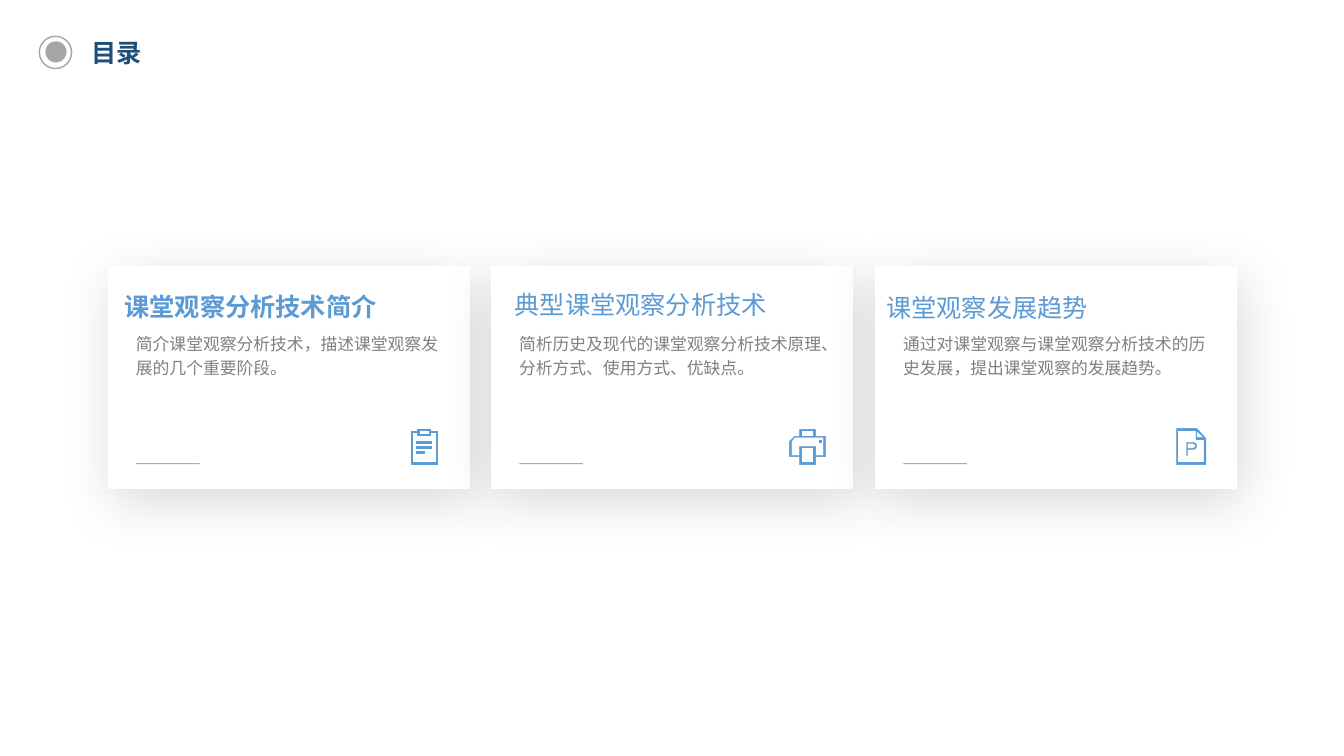
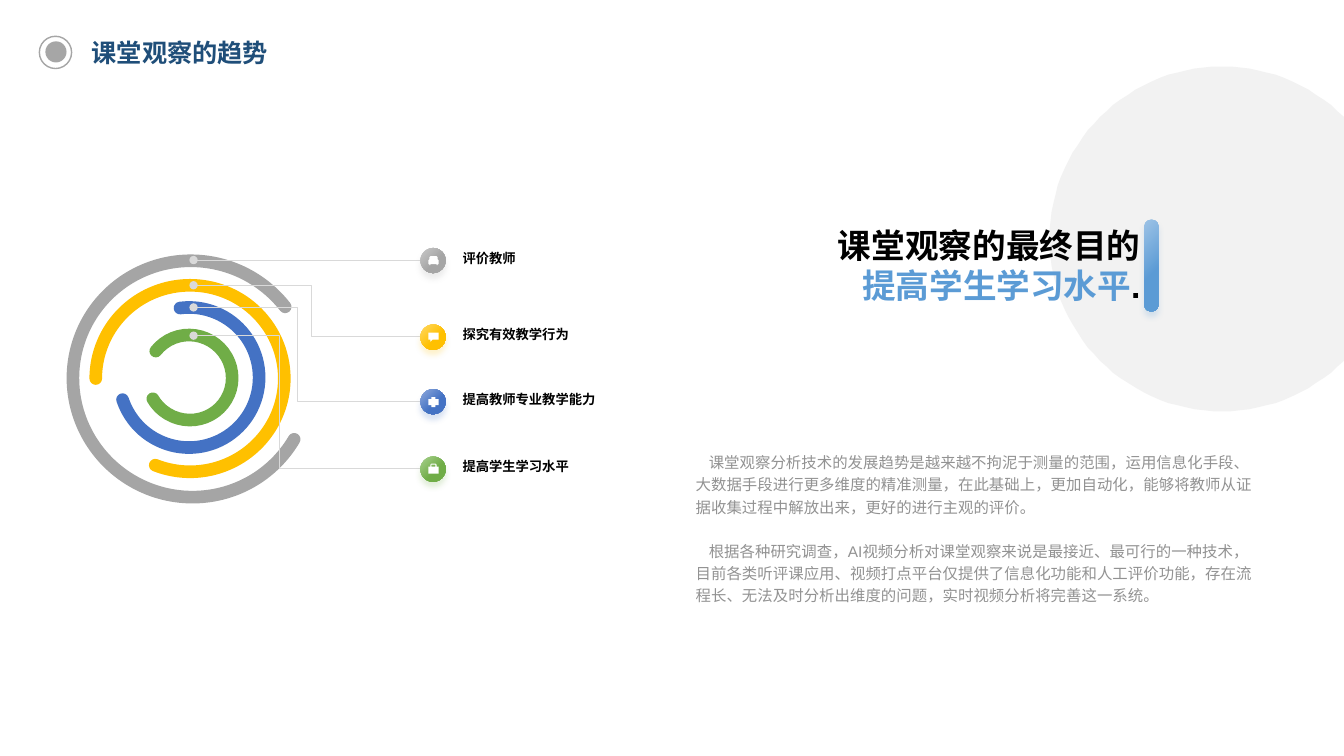
"""Build a contents slide and a trends slide about classroom observation."""
import math
from dataclasses import dataclass
from typing import Optional

from lxml import etree
from pptx import Presentation
from pptx.dml.color import RGBColor
from pptx.enum.lang import MSO_LANGUAGE_ID
from pptx.enum.shapes import MSO_CONNECTOR, MSO_SHAPE
from pptx.enum.text import MSO_ANCHOR, MSO_AUTO_SIZE, PP_ALIGN
from pptx.oxml.ns import qn
from pptx.shapes.autoshape import Shape
from pptx.shapes.connector import Connector
from pptx.slide import Slide
from pptx.util import Emu, Pt

EMU_PER_PX = 9144
FONT = "Arial"
CHINESE = MSO_LANGUAGE_ID.SIMPLIFIED_CHINESE
RECTANGLE, ROUNDED = MSO_SHAPE.RECTANGLE, MSO_SHAPE.ROUNDED_RECTANGLE
OVAL, ARC = MSO_SHAPE.OVAL, MSO_SHAPE.ARC
STRAIGHT, ELBOW = MSO_CONNECTOR.STRAIGHT, MSO_CONNECTOR.ELBOW
LEFT, CENTER, RIGHT = PP_ALIGN.LEFT, PP_ALIGN.CENTER, PP_ALIGN.RIGHT
TOP = MSO_ANCHOR.TOP
NO_FIT = MSO_AUTO_SIZE.NONE

COLORS = {
    "white": "FFFFFF", "black": "000000", "title": "1F4E79", "marker": "A6A6A6",
    "accent": "5B9BD5", "accent_light": "9DC3E6", "card_text": "808080",
    "body": "262626", "backdrop": "F2F2F2", "leader": "D9D9D9",
    "gray": "A5A5A5", "gray_light": "C9C9C9", "gold": "FFC000", "gold_light": "FFD966",
    "blue": "4472C4", "blue_light": "8FAADC", "green": "70AD47", "green_light": "A9D18E",
}

Contour = tuple[tuple[int, int], ...]
Icon = tuple[Contour, ...]
Bounds = tuple[int, int, int, int]


def rect(left: int, top: int, right: int, bottom: int) -> Contour:
    """Return the corners of a rectangle."""
    return (left, top), (right, top), (right, bottom), (left, bottom)


CLIPBOARD: Icon = (
    ((20, 1), (20, 3), (27, 3), (27, 36), (1, 36), (1, 3), (7, 3), (7, 1)),
    ((7, 4), (2, 4), (2, 34), (26, 34), (26, 4), (20, 4), (20, 7), (7, 7)),
    rect(6, 13, 21, 15), rect(6, 18, 21, 20), rect(6, 23, 14, 25), rect(9, 2, 19, 6),
)
PRINTER: Icon = (
    ((26, 1), (26, 8), (36, 8), (36, 28), (26, 28), (26, 36), (10, 36),
     (10, 28), (0, 28), (0, 13), (5, 8), (10, 8), (10, 1)),
    ((34, 9), (5, 9), (2, 13), (2, 27), (10, 27), (10, 18), (26, 18), (26, 27), (34, 27)),
    rect(12, 19, 24, 34), rect(30, 12, 32, 14), rect(12, 2, 24, 8),
)
DOCUMENT: Icon = (
    ((0, 0), (20, 0), (29, 10), (29, 36), (0, 36)),
    ((1, 2), (1, 34), (27, 34), (27, 11), (19, 11), (19, 2)),
    ((20, 3), (20, 9), (27, 9)),
    ((10, 14), (16, 14), (19, 15), (20, 17), (19, 20), (16, 21), (11, 21), (11, 27), (10, 27)),
    ((11, 15), (16, 15), (18, 16), (19, 17), (18, 19), (16, 20), (11, 20)),
)
SOFA: Icon = (
    ((2, 0), (8, 0), (9, 1), (9, 3), (10, 4), (10, 8), (9, 8), (9, 9), (8, 9),
     (8, 8), (2, 8), (2, 9), (1, 9), (1, 8), (0, 8), (0, 4), (1, 3), (1, 1)),
)
CHAT: Icon = (((0, 0), (10, 0), (10, 7), (4, 7), (2, 9), (2, 7), (0, 7)),)
CROSS: Icon = (
    ((3, 0), (7, 0), (7, 2), (10, 2), (10, 8), (7, 8), (7, 10), (3, 10),
     (3, 8), (0, 8), (0, 2), (3, 2)),
)
BRIEFCASE: Icon = (
    ((0, 3), (2, 3), (2, 1), (3, 0), (7, 0), (8, 1), (8, 3), (10, 3), (10, 10), (0, 10)),
    rect(3, 1, 7, 3),
)


@dataclass(frozen=True)
class Card:
    """One contents card; the offsets count from its left edge."""
    heading: str
    summary: str
    heading_offset: int
    heading_top: int
    heading_width: int
    bold: bool
    icon: Icon
    icon_offset: int


@dataclass(frozen=True)
class Topic:
    """One ring with its leader, badge and label."""
    label: str
    color: str
    badge_top: int
    ring: Bounds
    rotation: float
    sweep_end: float
    leader_top: int
    bend: Optional[int]
    icon: Icon
    icon_top: int


@dataclass(frozen=True)
class Shadow:
    """An outer shadow: opacity in percent, lengths in points, direction in degrees."""
    color: str
    opacity: int
    blur: int
    distance: int
    direction: int


CARDS = (
    Card("课堂观察分析技术简介", "简介课堂观察分析技术，描述课堂观察发展的几个重要阶段。",
         5, 278, 273, True, CLIPBOARD, 300),
    Card("典型课堂观察分析技术", "简析历史及现代的课堂观察分析技术原理、分析方式、使用方式、优缺点。",
         9, 276, 279, False, PRINTER, 296),
    Card("课堂观察发展趋势", "通过对课堂观察与课堂观察分析技术的历史发展，提出课堂观察的发展趋势。",
         0, 279, 222, False, DOCUMENT, 299),
)
TOPICS = (
    Topic("评价教师", "gray", 246, (73, 258, 234, 236), 120.5, 121.12, 258, None, SOFA, 254),
    Topic("探究有效教学行为", "gold", 322, (96, 282, 185, 187), 270, 121.12, 283, 309, CHAT, 330),
    Topic("提高教师专业教学能力", "blue", 386, (118, 305, 139, 139), 352.6, 101.4, 305, 295,
          CROSS, 394),
    Topic("提高学生学习水平", "green", 453, (146, 332, 84, 85), 308.1, 121.12, 333, 277,
          BRIEFCASE, 460),
)
PARAGRAPHS = (
    "课堂观察分析技术的发展趋势是越来越不拘泥于测量的范围，运用信息化手段、大数据手段进行更多维度的精准测量，"
    "在此基础上，更加自动化，能够将教师从证据收集过程中解放出来，更好的进行主观的评价。",
    "根据各种研究调查，AI视频分析对课堂观察来说是最接近、最可行的一种技术，目前各类听评课应用、视频打点平台"
    "仅提供了信息化功能和人工评价功能，存在流程长、无法及时分析出维度的问题，实时视频分析将完善这一系统。",
)


def px(length: int) -> Emu:
    """Turn px into EMU."""
    return Emu(length * EMU_PER_PX)


def rgb(name: str) -> RGBColor:
    """Look up a named colour."""
    return RGBColor.from_string(COLORS[name])


def set_alpha(element, percent: int) -> None:
    """Make every colour inside an element partly transparent."""
    for color in element.iter(qn("a:srgbClr")):
        etree.SubElement(color, qn("a:alpha"), val=str(percent * 1000))


def style_text(para, size: float, color: str, bold: bool = False, align=LEFT,
               spacing: float = 1.0) -> None:
    """Format a paragraph and its runs."""
    para.alignment = align
    para.line_spacing = spacing
    for span in para.runs:
        span.font.name, span.font.size, span.font.bold = FONT, Pt(size), bold
        span.font.color.rgb = rgb(color)
        span.font.language_id = CHINESE


def add_text(slide: Slide, bounds: Bounds, text: str, wrap: bool = True, **style):
    """Add a text box with one styled paragraph and return its frame."""
    frame = slide.shapes.add_textbox(*map(px, bounds)).text_frame
    frame.word_wrap = wrap
    frame.text = text
    style_text(frame.paragraphs[0], **style)
    return frame


def add_plain(slide: Slide, kind, bounds: Bounds, fill: Optional[str] = None) -> Shape:
    """Add a preset shape without line or shadow."""
    shape = slide.shapes.add_shape(kind, *map(px, bounds))
    shape.shadow.inherit = False
    shape.line.fill.background()
    if fill:
        shape.fill.solid()
        shape.fill.fore_color.rgb = rgb(fill)
    else:
        shape.fill.background()
    return shape


def add_shadow(shape: Shape, shadow: Shadow) -> None:
    """Give a shape an outer shadow."""
    effects = shape._element.spPr.find(qn("a:effectLst"))
    outer = etree.SubElement(
        effects, qn("a:outerShdw"), blurRad=str(Pt(shadow.blur)),
        dist=str(Pt(shadow.distance)), dir=str(shadow.direction * 60000),
        algn="ctr", rotWithShape="0")
    etree.SubElement(outer, qn("a:srgbClr"), val=COLORS[shadow.color])
    set_alpha(outer, shadow.opacity)


def add_glossy(slide: Slide, kind, bounds: Bounds, color: str) -> Shape:
    """Add a shape with a light-to-full gradient and a tinted shadow."""
    shape = add_plain(slide, kind, bounds)
    shape.fill.gradient()
    shape.fill.gradient_angle = 315
    stops = zip(shape.fill.gradient_stops, (f"{color}_light", color), (0, 0.6))
    for stop, name, position in stops:
        stop.color.rgb, stop.position = rgb(name), position
    add_shadow(shape, Shadow(color, 20, 4, 4, 90))
    return shape


def add_outline(slide: Slide, icon: Icon, left: int, top: int, color: str,
                line: float = 0) -> None:
    """Draw the contours of an icon as one freeform."""
    moved = [[(left + x, top + y) for x, y in contour] for contour in icon]
    builder = slide.shapes.build_freeform(*moved[0][0], scale=EMU_PER_PX)
    for index, points in enumerate(moved):
        if index:
            builder.move_to(*points[0])
        builder.add_line_segments(points[1:], close=True)
    shape = builder.convert_to_shape()
    shape.shadow.inherit = False
    shape.fill.solid()
    shape.fill.fore_color.rgb = rgb(color)
    if line:
        shape.line.color.rgb, shape.line.width = rgb(color), Pt(line)
    else:
        shape.line.fill.background()


def add_thin_line(slide: Slide, kind, ends: Bounds, color: str) -> Connector:
    """Add a half-point connector without a shadow."""
    line = slide.shapes.add_connector(kind, *map(px, ends))
    line.line.color.rgb, line.line.width = rgb(color), Pt(0.5)
    etree.SubElement(line._element.spPr, qn("a:effectLst"))
    return line


def add_page(deck, layout: int, title: str) -> Slide:
    """Add a slide with the ring marker and the title."""
    slide = deck.slides.add_slide(deck.slide_layouts[layout])
    ring = add_plain(slide, OVAL, (39, 36, 32, 32))
    ring.line.color.rgb, ring.line.width = rgb("marker"), Pt(1)
    add_plain(slide, OVAL, (45, 41, 21, 21), "marker")
    box = slide.shapes.title
    box.left, box.top, box.width, box.height = map(px, (81, 32, 341, 40))
    frame = box.text_frame
    frame.text = title
    frame.vertical_anchor, frame.auto_size = TOP, NO_FIT
    style_text(frame.paragraphs[0], 18, "title", bold=True)
    return slide


def add_card(slide: Slide, card: Card, left: int) -> None:
    """Draw one contents card."""
    panel = add_plain(slide, RECTANGLE, (left, 264, 359, 221), "white")
    add_shadow(panel, Shadow("black", 15, 40, 10, 70))
    add_text(slide, (left + card.heading_offset, card.heading_top, card.heading_width, 43),
             card.heading, wrap=False, size=18, color="accent", bold=card.bold,
             align=CENTER, spacing=1.2)
    add_text(slide, (left + 18, 322, 320, 56), card.summary,
             size=12, color="card_text", spacing=1.2)
    rule = add_thin_line(slide, STRAIGHT, (left + 28, 460, left + 91, 460), "black")
    set_alpha(rule._element.spPr, 50)
    add_outline(slide, card.icon, left + card.icon_offset, 425, "accent", 0.25)


def add_ring(slide: Slide, topic: Topic) -> None:
    """Draw a round-ended arc."""
    arc = add_plain(slide, ARC, topic.ring)
    arc.adjustments[0], arc.adjustments[1] = 162, topic.sweep_end
    arc.rotation = topic.rotation
    arc.line.color.rgb, arc.line.width = rgb(topic.color), Pt(9)
    arc._element.spPr.find(qn("a:ln")).set("cap", "rnd")


def add_leader(slide: Slide, topic: Topic) -> None:
    """Draw the dotted-end line from a ring to its badge."""
    start, end = 192, 426
    kind = ELBOW if topic.bend else STRAIGHT
    leader = add_thin_line(slide, kind, (start, topic.leader_top, end, topic.badge_top + 12),
                           "leader")
    properties = leader._element.spPr
    for tag in ("a:headEnd", "a:tailEnd"):
        etree.SubElement(properties.find(qn("a:ln")), qn(tag), type="oval")
    if topic.bend:
        share = round((topic.bend - start) / (end - start) * 100000)
        guides = properties.find(qn("a:prstGeom")).find(qn("a:avLst"))
        etree.SubElement(guides, qn("a:gd"), name="adj1", fmla=f"val {share}")


def add_badge(slide: Slide, topic: Topic) -> None:
    """Draw a topic's badge, icon and label."""
    add_glossy(slide, OVAL, (417, topic.badge_top, 25, 25), topic.color)
    add_outline(slide, topic.icon, 425, topic.icon_top, "white")
    add_text(slide, (449, topic.badge_top, 274, 24), topic.label,
             size=9.5, color="black", bold=True, spacing=0.8)


def add_purpose(slide: Slide) -> None:
    """Draw the headline and its bar."""
    style = {"size": 24, "bold": True, "align": RIGHT}
    frame = add_text(slide, (818, 218, 323, 91), "课堂观察的最终目的", wrap=False,
                     color="black", **style)
    para = frame.add_paragraph()
    para.text = "提高学生学习水平"
    stop = para.add_run()
    stop.text = "."
    style_text(para, color="accent", **style)
    stop.font.color.rgb = rgb("black")
    bar = add_glossy(slide, ROUNDED, (1135, 218, 14, 91), "accent")
    bar.adjustments[0] = 0.45


def fill_body(slide: Slide) -> None:
    """Set the running text in the body placeholder."""
    box = slide.placeholders[1]
    box.left, box.top, box.width, box.height = map(px, (680, 441, 580, 164))
    frame = box.text_frame
    frame.text = "\n".join(PARAGRAPHS)
    frame.auto_size = NO_FIT
    for index, para in enumerate(frame.paragraphs):
        style_text(para, 11, "body", spacing=1.2)
        para.space_before = Pt(16 * index)
        set_alpha(para._p, 50)
        properties = para._p.get_or_add_pPr()
        properties.set("marL", "0")
        properties.set("indent", str(px(13)))
        etree.SubElement(properties, qn("a:buNone"))


def build_contents(deck) -> None:
    """Build the contents slide."""
    slide = add_page(deck, 5, "目录")
    for index, card in enumerate(CARDS):
        add_card(slide, card, 107 + 761 * index // 2)


def build_trends(deck) -> None:
    """Build the trends slide."""
    slide = add_page(deck, 1, "课堂观察的趋势")
    angles = map(math.radians, range(45, 316, 3))
    disc = tuple((round(171 * math.cos(a)), round(171 * math.sin(a))) for a in angles)
    add_outline(slide, (disc,), 1212, 237, "backdrop")
    fill_body(slide)
    add_purpose(slide)
    for draw in (add_ring, add_leader, add_badge):
        for topic in TOPICS:
            draw(slide, topic)


def main() -> None:
    """Build and save the deck."""
    deck = Presentation()
    deck.slide_width, deck.slide_height = px(1333), px(750)
    build_contents(deck)
    build_trends(deck)
    deck.save("out.pptx")


if __name__ == "__main__":
    main()
